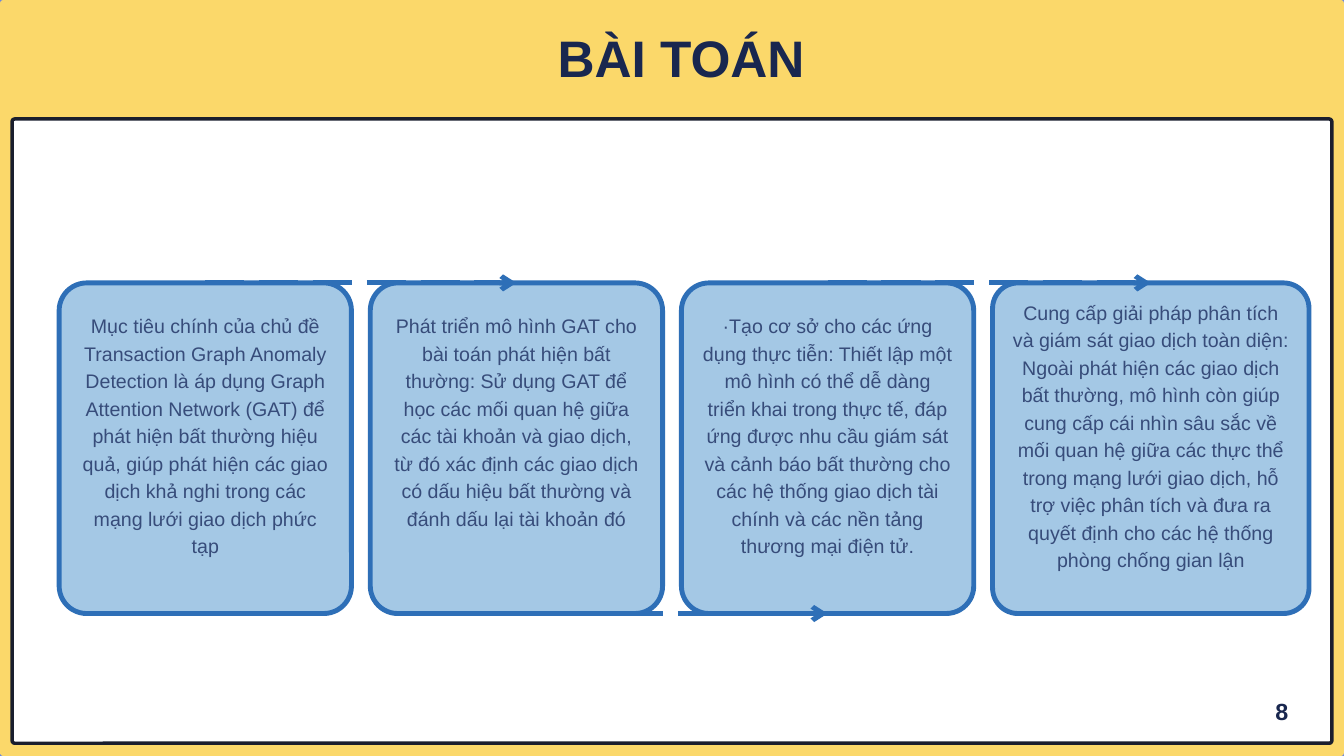
from lxml import etree
from pptx import Presentation
from pptx.dml.color import RGBColor
from pptx.enum.dml import MSO_LINE
from pptx.enum.shapes import MSO_CONNECTOR, MSO_SHAPE
from pptx.enum.text import MSO_ANCHOR, MSO_AUTO_SIZE, PP_ALIGN
from pptx.oxml.ns import qn
from pptx.util import Inches, Pt

ROUNDED = MSO_SHAPE.ROUNDED_RECTANGLE
STRAIGHT = MSO_CONNECTOR.STRAIGHT
LONG_DASH = MSO_LINE.LONG_DASH
TOP = MSO_ANCHOR.TOP
NO_FIT = MSO_AUTO_SIZE.NONE
CENTER = PP_ALIGN.CENTER
TOP_SIDE, BOTTOM_SIDE = 0, 2

NAVY, BLUE = "19274F", "2E6FB7"
HEADING = {"size": Pt(55), "bold": True, "color": NAVY}
BODY = {"size": Pt(21), "bold": False, "color": "374C7A"}
NUMBER = {"size": Pt(25), "bold": True, "color": NAVY}

CARD_TOP, CARD_HEIGHT = 4.21, 4.92
CARD_LEFT, CARD_STEP = 0.88, 4.63

# Card width, corner radius, text (left offset, top, width, height), wording
CARDS = [
    (4.35, 0.41, (0.32, 4.62, 3.71, 4.05),
     "Mục tiêu chính của chủ đề Transaction Graph Anomaly Detection là áp dụng "
     "Graph Attention Network (GAT) để phát hiện bất thường hiệu quả, giúp phát "
     "hiện các giao dịch khả nghi trong các mạng lưới giao dịch phức tạp"),
    (4.35, 0.41, (0.32, 4.62, 3.71, 3.64),
     "Phát triển mô hình GAT cho bài toán phát hiện bất thường: Sử dụng GAT để "
     "học các mối quan hệ giữa các tài khoản và giao dịch, từ đó xác định các "
     "giao dịch có dấu hiệu bất thường và đánh dấu lại tài khoản đó"),
    (4.35, 0.41, (0.32, 4.62, 3.71, 4.45),
     "·Tạo cơ sở cho các ứng dụng thực tiễn: Thiết lập một mô hình có thể dễ "
     "dàng triển khai trong thực tế, đáp ứng được nhu cầu giám sát và cảnh báo "
     "bất thường cho các hệ thống giao dịch tài chính và các nền tảng thương "
     "mại điện tử."),
    (4.71, 0.38, (0.27, 4.42, 4.17, 4.45),
     "Cung cấp giải pháp phân tích và giám sát giao dịch toàn diện: Ngoài phát "
     "hiện các giao dịch bất thường, mô hình còn giúp cung cấp cái nhìn sâu sắc "
     "về mối quan hệ giữa các thực thể trong mạng lưới giao dịch, hỗ trợ việc "
     "phân tích và đưa ra quyết định cho các hệ thống phòng chống gian lận"),
]


def color(value):
    return RGBColor.from_string(value)


def write(box, text, style, spacing):
    """Fill a text box or placeholder with one centred paragraph."""
    frame = box.text_frame
    settings = {"word_wrap": True, "auto_size": NO_FIT, "vertical_anchor": TOP,
                "margin_left": 0, "margin_right": 0, "margin_top": 0, "margin_bottom": 0}
    for name, value in settings.items():
        setattr(frame, name, value)
    para = frame.paragraphs[0]
    para.alignment = CENTER
    para.line_spacing = Pt(spacing)
    span = para.add_run()
    span.text = text
    span.font.name = "Arial"
    for name in ("size", "bold"):
        setattr(span.font, name, style[name])
    span.font.color.rgb = color(style["color"])


def add_title(page, text):
    title = page.shapes.title
    position = {"left": 2.13, "top": 0.46, "width": 16.01, "height": 0.86}
    for name, value in position.items():
        setattr(title, name, Inches(value))
    write(title, text, HEADING, 60.5)


def add_text(page, area, text, style, spacing):
    box = page.shapes.add_textbox(*map(Inches, area))
    write(box, text, style, spacing)


def add_panel(page, area, radius, fill, line=None, line_width=0):
    panel = page.shapes.add_shape(ROUNDED, *map(Inches, area))
    panel.shadow.inherit = False
    panel.adjustments[0] = radius / min(area[2:])
    panel.fill.solid()
    panel.fill.fore_color.rgb = color(fill)
    if line:
        panel.line.color.rgb = color(line)
        panel.line.width = Pt(line_width)
    else:
        panel.line.fill.background()
    return panel


def add_arrow(page, start, end, side):
    """Join the same side of two cards with a dashed arrow."""
    arrow = page.shapes.add_connector(STRAIGHT, 0, 0, 0, 0)
    arrow.begin_connect(start, side)
    arrow.end_connect(end, side)
    arrow.line.color.rgb = color(BLUE)
    arrow.line.width = Pt(5.25)
    arrow.line.dash_style = LONG_DASH
    line = arrow.line._get_or_add_ln()
    etree.SubElement(line, qn("a:tailEnd"), type="arrow")
    etree.SubElement(arrow._element.spPr, qn("a:effectLst"))


def main():
    deck = Presentation()
    deck.slide_width, deck.slide_height = Inches(20), Inches(11.25)
    page = deck.slides.add_slide(deck.slide_layouts[5])

    # Background and frame
    page.background.fill.solid()
    page.background.fill.fore_color.rgb = color("6C86DD")
    add_panel(page, (0, 0, 20, 11.25), 0.05, "FBD86A")
    add_panel(page, (0.18, 1.77, 19.64, 9.29), 0.04, "FFFFFF", "1A1E2D", 3.75)
    add_title(page, "BÀI TOÁN")
    # Keep the title in front of the panels
    page.shapes._spTree.append(page.shapes.title._element)

    # Cards
    lefts = [CARD_LEFT + CARD_STEP * index for index in range(len(CARDS))]
    cards = [
        add_panel(page, (left, CARD_TOP, width, CARD_HEIGHT), radius, "A4C8E5", BLUE, 5.25)
        for left, (width, radius, _, _) in zip(lefts, CARDS)
    ]

    # Arrows alternate between the top and the bottom of the cards
    for index, (start, end) in enumerate(zip(cards, cards[1:])):
        add_arrow(page, start, end, BOTTOM_SIDE if index % 2 else TOP_SIDE)

    # Card wording
    for left, (_, _, (offset, top, width, height), text) in zip(lefts, CARDS):
        add_text(page, (left + offset, top, width, height), text, BODY, 29.4)

    # Page number
    add_text(page, (18.7, 10.41, 0.75, 0.39), "8", NUMBER, 27.5)
    deck.save("out.pptx")


if __name__ == "__main__":
    main()
